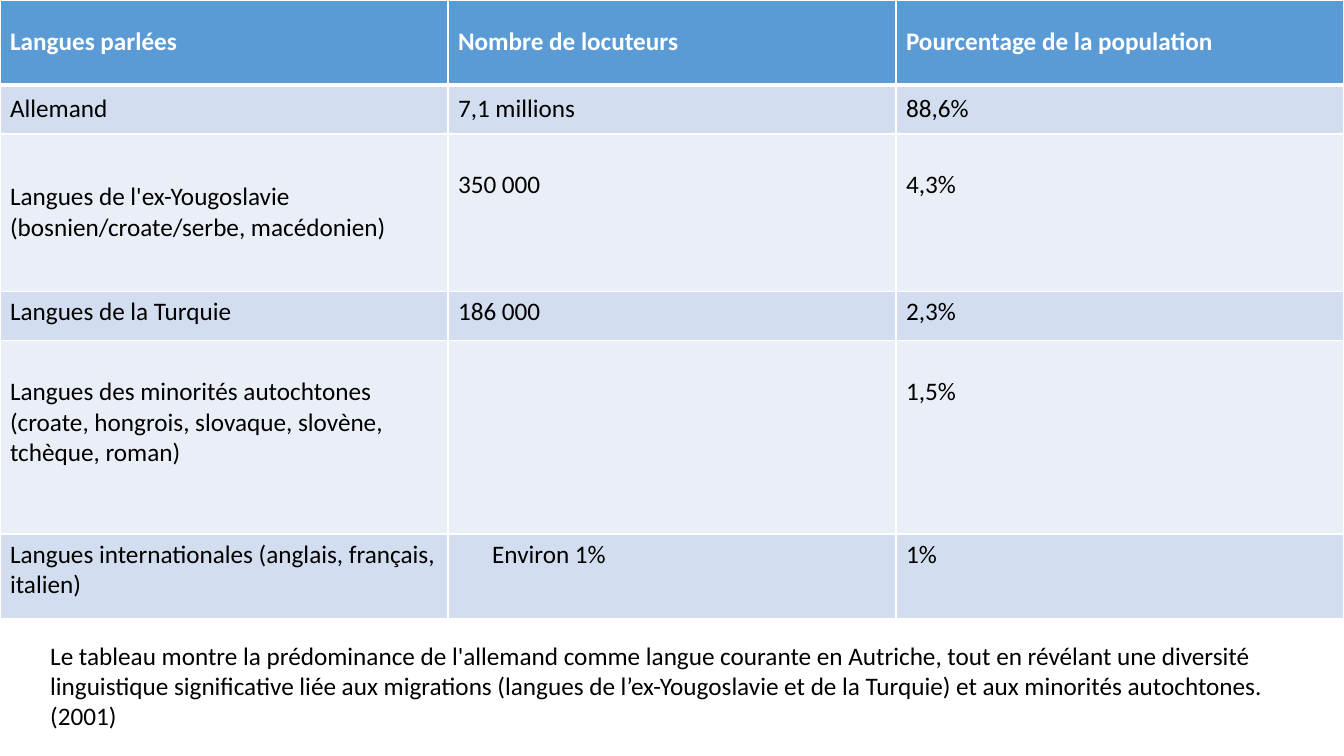
from lxml.etree import SubElement
from pptx import Presentation
from pptx.dml.color import RGBColor as Rgb
from pptx.enum.text import MSO_ANCHOR as Anchor, MSO_AUTO_SIZE as AutoSize
from pptx.oxml.ns import qn
from pptx.util import Pt

# Content
HEADINGS = ("Langues parlées", "Nombre de locuteurs", "Pourcentage de la population")
LANGUAGES = [
    ("Allemand", "7,1 millions", "88,6%"),
    ("Langues de l'ex-Yougoslavie (bosnien/croate/serbe, macédonien)", "350 000", "4,3%"),
    ("Langues de la Turquie", "186 000", "2,3%"),
    ("Langues des minorités autochtones (croate, hongrois, slovaque, slovène, tchèque, roman)",
     "", "1,5%"),
    ("Langues internationales (anglais, français, italien)", "Environ 1%", "1%"),
]
COMMENTARY = (
    "Le tableau montre la prédominance de l'allemand comme langue courante en Autriche, "
    "tout en révélant une diversité linguistique significative liée aux migrations "
    "(langues de l’ex-Yougoslavie et de la Turquie) et aux minorités autochtones. (2001)"
)

# Format
COLORS = {"header": "5B9BD5", "odd": "D2DEEF", "even": "EAEFF7",
          "rule": "FFFFFF", "light": "FFFFFF", "dark": "000000"}
BODY_FONT = {"name": "Calibri", "size": Pt(18), "bold": False}
HEADER_FONT = {**BODY_FONT, "bold": True}
SLIDE_W, SLIDE_H = 960, 540
ROW_HEIGHTS = (60.5, 35.2, 112.4, 35.2, 138.2, 60.5)
MIDDLE_CELLS = {(0, 0), (0, 1), (0, 2), (1, 0), (1, 1), (1, 2), (2, 0)}
LOWERED_CELLS = {(2, 1), (2, 2), (4, 0), (4, 2)}
INDENTED_CELLS = {(5, 1)}
LOWERED_TOP, INDENTED_LEFT = 25.6, 31.6


def write(frame, text, style, color):
    paragraph = frame.paragraphs[0]
    if not text:
        paragraph.font.size = style["size"]
        return
    run = paragraph.add_run()
    run.text = text
    for key, value in style.items():
        setattr(run.font, key, value)
    run.font.color.rgb = Rgb.from_string(COLORS[color])


def rule_cell(cell, row):
    """Draw the cell borders, thicker between the header and the first row."""
    widths = {"lnL": 1, "lnR": 1, "lnT": 3 if row == 1 else 1, "lnB": 3 if row == 0 else 1}
    properties = cell._tc.get_or_add_tcPr()
    for side, width in widths.items():
        line = SubElement(properties, qn(f"a:{side}"), w=str(Pt(width)))
        fill = SubElement(line, qn("a:solidFill"))
        SubElement(fill, qn("a:srgbClr"), val=COLORS["rule"])


deck = Presentation()
deck.slide_width, deck.slide_height = Pt(SLIDE_W), Pt(SLIDE_H)
slide = deck.slides.add_slide(deck.slide_layouts[6])

# Language table
rows = [HEADINGS, *LANGUAGES]
languages = slide.shapes.add_table(
    len(rows), len(HEADINGS), 0, 0, Pt(SLIDE_W), Pt(sum(ROW_HEIGHTS))).table
for column in languages.columns:
    column.width = Pt(SLIDE_W / len(HEADINGS))
for r, (values, height) in enumerate(zip(rows, ROW_HEIGHTS)):
    languages.rows[r].height = Pt(height)
    band = "header" if r == 0 else ("even", "odd")[r % 2]
    for c, value in enumerate(values):
        cell = languages.cell(r, c)
        rule_cell(cell, r)
        cell.fill.solid()
        cell.fill.fore_color.rgb = Rgb.from_string(COLORS[band])
        cell.vertical_anchor = Anchor.MIDDLE if (r, c) in MIDDLE_CELLS else Anchor.TOP
        if (r, c) in LOWERED_CELLS:
            cell.margin_top = Pt(LOWERED_TOP)
        if (r, c) in INDENTED_CELLS:
            cell.margin_left = Pt(INDENTED_LEFT)
        write(cell.text_frame, value, BODY_FONT if r else HEADER_FONT, "dark" if r else "light")

# Commentary below the table
commentary = slide.shapes.add_textbox(Pt(28.8), Pt(453.6), Pt(908), Pt(72.7)).text_frame
commentary.word_wrap = True
commentary.auto_size = AutoSize.SHAPE_TO_FIT_TEXT
write(commentary, COMMENTARY, BODY_FONT, "dark")

deck.save("out.pptx")
